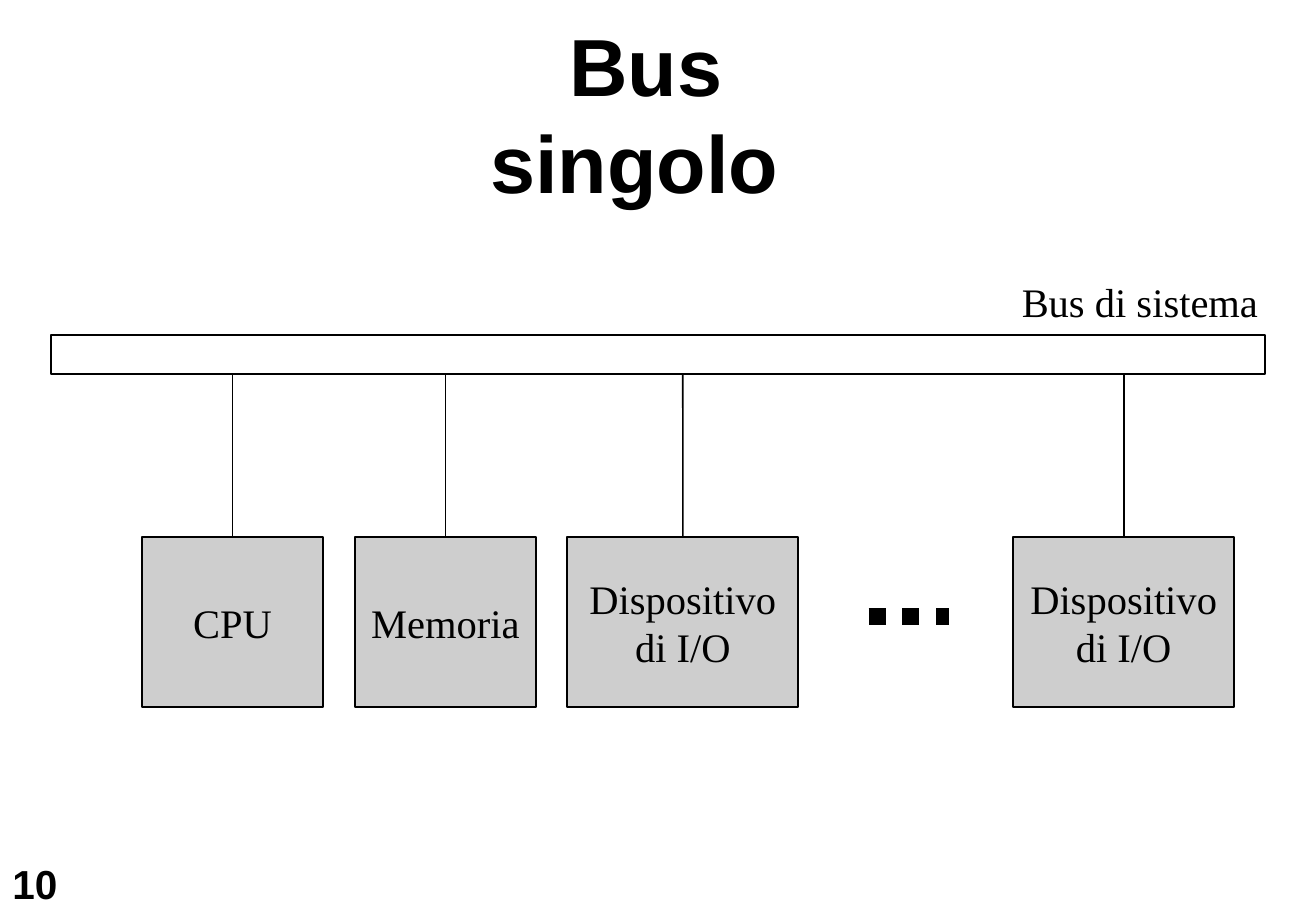
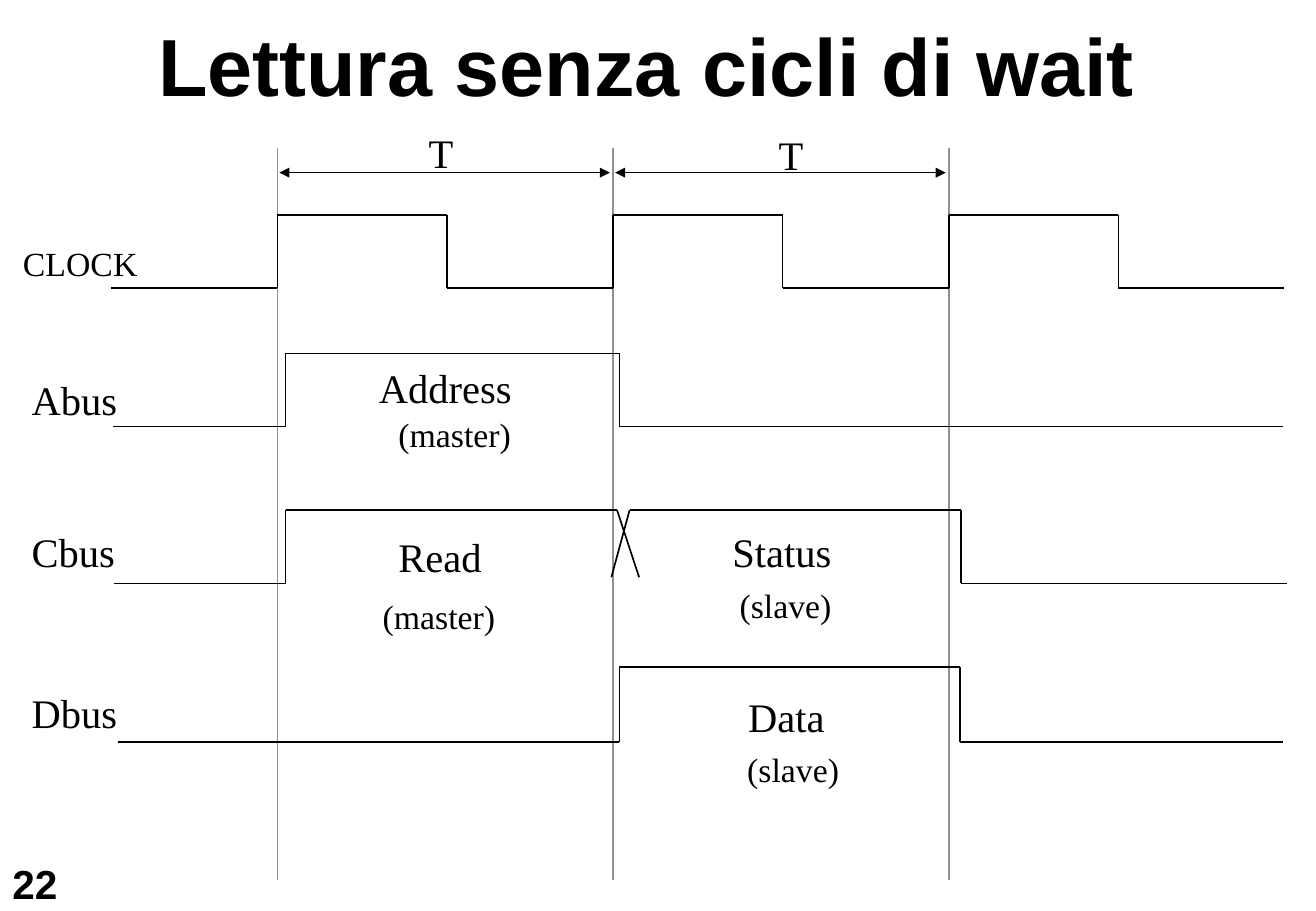
from itertools import pairwise

from lxml import etree
from pptx import Presentation
from pptx.dml.color import RGBColor
from pptx.enum import dml, shapes, text
from pptx.oxml.ns import qn
from pptx.util import Cm, Pt

BLACK = RGBColor(0x00, 0x00, 0x00)
GRAY = RGBColor(0x91, 0x91, 0x91)
PALE = RGBColor(0xCE, 0xCE, 0xCE)
SANS, SERIF = "Arial", "Times New Roman"
LEFT, MID = text.PP_ALIGN.LEFT, text.PP_ALIGN.CENTER
WIDE, TALL = 27.51, 19.05

# Slide 1, in cm: the bus, and the units hanging from it (text, left, width)
BUS = (1.07, 7.01, 25.37, 0.81)
UNITS = [
    ("CPU", 2.97, 3.78),
    ("Memoria", 7.42, 3.78),
    ("Dispositivo\ndi I/O", 11.86, 4.83),
    ("Dispositivo\ndi I/O", 21.18, 4.62),
]
UNIT_TOP, UNIT_TALL = 11.23, 3.56
DOTS = ((18.16, 12.9), (19.84, 12.9))

# Slide 2, in cm: clock edges one period apart, and the signals
START, PERIOD, HALF = 5.8, 7.02, 3.54
EDGES = [START + PERIOD * i for i in range(3)]
GUIDE_TOP, GUIDE_END, SPAN_Y = 3.1, 18.4, 3.61
CLOCK_HIGH, CLOCK_LOW = 4.49, 6.02
SIGNALS = [
    # Abus
    [(2.36, 8.92), (5.97, 8.92), (5.97, 7.39), (12.95, 7.39),
     (12.95, 8.92), (26.82, 8.92)],
    # Cbus, crossing over from master to slave
    [(2.39, 12.2), (5.97, 12.2), (5.97, 10.67), (12.9, 10.67),
     (13.36, 12.07)],
    [(12.78, 12.07), (13.16, 10.67), (20.09, 10.67), (20.09, 12.2),
     (26.9, 12.2)],
    # Dbus
    [(2.46, 15.52), (12.95, 15.52), (12.95, 13.95), (20.07, 13.95),
     (20.07, 15.52), (26.82, 15.52)],
]
# text, left, top, width, size
LABELS = [
    ("T", 8.71, 2.54, 1.09, 24),
    ("T", 16.03, 2.59, 1.09, 24),
    ("CLOCK", 0.23, 4.95, 3.15, 20),
    ("Abus", 0.41, 7.72, 2.29, 24),
    ("Cbus", 0.41, 10.9, 2.24, 24),
    ("Dbus", 0.41, 14.25, 2.29, 24),
    ("Address", 7.67, 7.47, 3.28, 24),
    ("(master)", 8.08, 8.53, 3.07, 20),
    ("Read", 8.08, 11, 2.41, 24),
    ("(master)", 7.75, 12.32, 3.07, 20),
    ("Status", 15.06, 10.9, 2.79, 24),
    ("(slave)", 15.21, 12.09, 2.62, 20),
    ("Data", 15.39, 14.35, 2.29, 24),
    ("(slave)", 15.37, 15.52, 2.62, 20),
]


def fill_text(frame, words, size, font=SERIF, bold=False, align=LEFT,
              pad=(0.25, 0.13)):
    frame.text = words
    frame.word_wrap = False
    frame.margin_left = frame.margin_right = Cm(pad[0])
    frame.margin_top = frame.margin_bottom = Cm(pad[1])
    for para in frame.paragraphs:
        para.alignment = align
        para.font.name, para.font.size = font, Pt(size)
        para.font.bold, para.font.color.rgb = bold, BLACK


def add_label(slide, words, x, y, wide, size, tall=1.2, **style):
    box = slide.shapes.add_textbox(Cm(x), Cm(y), Cm(wide), Cm(tall))
    fill_text(box.text_frame, words, size, **style)
    box.text_frame.auto_size = text.MSO_AUTO_SIZE.SHAPE_TO_FIT_TEXT


def add_line(slide, start, end, color=BLACK, width=1, arrows=False):
    line = slide.shapes.add_connector(
        shapes.MSO_CONNECTOR.STRAIGHT, *map(Cm, (*start, *end)))
    line.line.color.rgb, line.line.width = color, Pt(width)
    if arrows:
        ln = line.line._get_or_add_ln()
        for tag in ("a:headEnd", "a:tailEnd"):
            etree.SubElement(ln, qn(tag), type="triangle")
    props = line._element.find(qn("p:spPr"))
    etree.SubElement(props, qn("a:effectLst"))
    return line


def add_box(slide, x, y, wide, tall, fill=None):
    box = slide.shapes.add_shape(
        shapes.MSO_SHAPE.RECTANGLE, *map(Cm, (x, y, wide, tall)))
    box.shadow.inherit = False
    box.line.color.rgb, box.line.width = BLACK, Pt(1)
    if fill is None:
        box.fill.background()
    else:
        box.fill.solid()
        box.fill.fore_color.rgb = fill
    return box


def add_slide(deck, number, title, left, wide):
    slide = deck.slides.add_slide(deck.slide_layouts[6])
    head = dict(font=SANS, bold=True, pad=(0.13, 0.05))
    add_label(slide, number, 0.13, 17.91, 1.3, 24, **head)
    add_label(slide, title, left, 0.28, wide, 48, 2.13, align=MID, **head)
    return slide


def draw_bus(deck):
    slide = add_slide(deck, "10", "Bus\vsingolo ", 9.04, 8.92)
    add_box(slide, *BUS)
    for words, x, wide in UNITS:
        unit = add_box(slide, x, UNIT_TOP, wide, UNIT_TALL, PALE)
        fill_text(unit.text_frame, words, 24, align=MID)
        unit.text_frame.vertical_anchor = text.MSO_ANCHOR.MIDDLE
        mid = x + wide / 2
        stub = add_line(slide, (mid, UNIT_TOP), (mid, BUS[1] + BUS[3]))
        stub.begin_connect(unit, 0)
    dots = add_line(slide, *DOTS, width=10)
    dots.line.dash_style = dml.MSO_LINE.ROUND_DOT
    add_label(slide, "Bus di sistema", 21.11, 5.66, 5.64, 24)


def draw_timing(deck):
    slide = add_slide(deck, "22", "Lettura senza cicli di wait", 3.15, 20.73)
    clock = [(2.31, CLOCK_LOW)]
    for x in EDGES:
        add_line(slide, (x, GUIDE_TOP), (x, GUIDE_END), GRAY)
        clock += [(x, CLOCK_LOW), (x, CLOCK_HIGH),
                  (x + HALF, CLOCK_HIGH), (x + HALF, CLOCK_LOW)]
    clock.append((26.85, CLOCK_LOW))
    for a, b in pairwise(EDGES):
        add_line(slide, (a + 0.04, SPAN_Y), (b - 0.07, SPAN_Y), arrows=True)
    for trace in [clock, *SIGNALS]:
        for start, end in pairwise(trace):
            add_line(slide, start, end)
    for label in LABELS:
        add_label(slide, *label)


def main():
    deck = Presentation()
    deck.slide_width, deck.slide_height = Cm(WIDE), Cm(TALL)
    draw_bus(deck)
    draw_timing(deck)
    deck.save("out.pptx")


if __name__ == "__main__":
    main()
